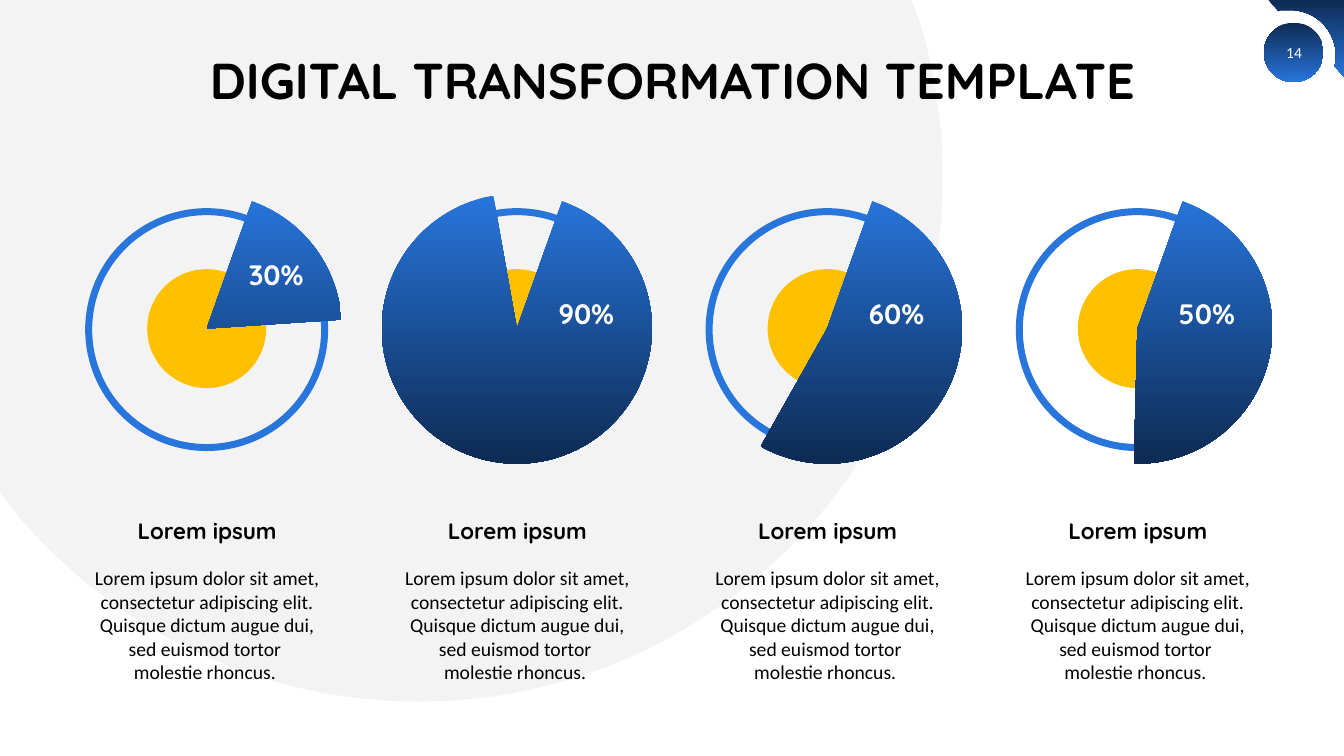
from dataclasses import dataclass

from lxml import etree
from pptx import Presentation
from pptx import util as u
from pptx.dml.color import RGBColor
from pptx.enum import shapes, text
from pptx.oxml.ns import qn

BLUE, NAVY, GOLD, GREY = "2875DC", "0D2B53", "FFC000", "BFBFBF"
BLACK, WHITE = "000000", "FFFFFF"
HEADING_FONT, BODY_FONT = "Quicksand", "Calibri"

SLIDE_WIDTH, SLIDE_HEIGHT = 13.33, 7.5
COLUMN_LEFT, COLUMN_WIDTH = 0.92, 2.27
COLUMN_PITCH = 9.23 / 3
DIAL_OFFSET, DIAL_Y = 1.13, 3.26
CORE_SIZE, RING_SIZE, PIE_SIZE = 1.18, 2.34, 2.68
PIE_START = 289.56
DEGREE = 0.6  # pie adjustment units per degree

# Outlines: a segment of one point is a line, one of three points a curve.
BACKDROP = [
    [(0, 0)],
    [(9.04, 0)],
    [(9.12, 0.21)],
    [(9.27, 0.7), (9.35, 1.22), (9.35, 1.76)],
    [(9.35, 4.63), (7.02, 6.96), (4.15, 6.96)],
    [(2.54, 6.96), (1.09, 6.22), (0.14, 5.07)],
    [(0, 4.88)],
]
CORNER = [
    [(13.33, 0.76)],
    [(13.33, 0)],
    [(12.58, 0)],
    [(12.68, 0.11)],
    [(12.7, 0.1)],
    [(12.73, 0.1), (12.76, 0.1), (12.79, 0.1)],
    [(13.05, 0.1), (13.25, 0.3), (13.25, 0.56)],
    [(13.25, 0.59), (13.25, 0.62), (13.24, 0.65)],
    [(13.24, 0.66)],
]

DESCRIPTION = [
    "Lorem ipsum dolor sit amet, consectetur adipiscing elit. "
    "Quisque dictum augue dui, sed euismod tortor ",
    "molestie rhoncus. ",
]


@dataclass
class Dial:
    percent: str
    pie_end: float
    label_top: float = 2.89
    label_height: float = 0.44
    heading: str = "Lorem ipsum"


@dataclass
class TextStyle:
    size: float
    font: str
    color: str = BLACK
    bold: bool = False
    line_spacing: float | None = None


TITLE = TextStyle(36, HEADING_FONT, bold=True, line_spacing=0.9)
PAGE_NUMBER = TextStyle(11, BODY_FONT, WHITE)
PERCENT = TextStyle(20, HEADING_FONT, WHITE, bold=True)
HEADING = TextStyle(16, HEADING_FONT, bold=True)
BODY = TextStyle(14, BODY_FONT)

DIALS = [
    Dial("30%", 356.18, label_top=2.51, label_height=0.53),
    Dial("90%", 259.93),
    Dial("60%", 119.38),
    Dial("50%", 91.44),
]


def rgb(color: str) -> RGBColor:
    return RGBColor.from_string(color)


def fill_solid(shape, color: str) -> None:
    shape.fill.solid()
    shape.fill.fore_color.rgb = rgb(color)


def fill_gradient(shape, top: str, bottom: str) -> None:
    shape.fill.gradient()
    shape.fill.gradient_angle = 270
    for stop, color in zip(shape.fill.gradient_stops, (top, bottom)):
        stop.color.rgb = rgb(color)


def add_round(canvas, kind, center_x: float, center_y: float, size: float):
    """Add an unlined round shape about its centre."""
    shape = canvas.add_shape(
        kind, u.Inches(center_x - size / 2), u.Inches(center_y - size / 2),
        u.Inches(size), u.Inches(size))
    shape.shadow.inherit = False
    shape.line.fill.background()
    return shape


def add_outline(canvas, segments: list):
    """Add a closed freeform, joining each three-point segment into a Bézier curve."""
    start, *points = [(u.Inches(x), u.Inches(y)) for segment in segments for x, y in segment]
    builder = canvas.build_freeform(*start, scale=1.0)
    builder.add_line_segments(points, close=True)
    shape = builder.convert_to_shape()
    steps = iter(list(shape.element.iter(qn("a:lnTo"))))
    for segment in segments[1:]:
        step = next(steps)
        if len(segment) == 3:
            curve = etree.Element(qn("a:cubicBezTo"))
            step.addprevious(curve)
            for part in (step, next(steps), next(steps)):
                curve.append(part[0])
                part.getparent().remove(part)
    shape.shadow.inherit = False
    shape.line.fill.background()
    return shape


def add_text(canvas, left: float, top: float, width: float, height: float,
             lines: list, style: TextStyle, middle: bool = True,
             inset: bool = True) -> None:
    box = canvas.add_textbox(
        u.Inches(left), u.Inches(top), u.Inches(width), u.Inches(height))
    frame = box.text_frame
    frame.word_wrap = True
    frame.vertical_anchor = text.MSO_ANCHOR.MIDDLE if middle else text.MSO_ANCHOR.TOP
    if not inset:
        frame.margin_left = frame.margin_right = 0
        frame.margin_top = frame.margin_bottom = 0
    frame.text = "\n".join(lines)
    for paragraph in frame.paragraphs:
        paragraph.alignment = text.PP_ALIGN.CENTER
        paragraph.line_spacing = style.line_spacing
        paragraph.font.size = u.Pt(style.size)
        paragraph.font.name = style.font
        paragraph.font.bold = style.bold
        paragraph.font.color.rgb = rgb(style.color)


def add_backdrop(canvas) -> None:
    backdrop = add_outline(canvas, BACKDROP)
    fill_solid(backdrop, GREY)
    color = backdrop.element.spPr.find(qn("a:solidFill"))[0]
    etree.SubElement(color, qn("a:alpha")).set("val", "18000")


def add_page_badge(canvas) -> None:
    group = canvas.add_group_shape().shapes
    corner = add_outline(group, CORNER)
    badge = add_round(group, shapes.MSO_SHAPE.OVAL, 12.83, 0.52, 0.59)
    for part in (corner, badge):
        fill_gradient(part, NAVY, BLUE)


def add_dial(canvas, dial: Dial, left: float) -> None:
    center_x = left + DIAL_OFFSET
    core = add_round(canvas, shapes.MSO_SHAPE.OVAL, center_x, DIAL_Y, CORE_SIZE)
    fill_solid(core, GOLD)

    group = canvas.add_group_shape().shapes
    ring = add_round(group, shapes.MSO_SHAPE.OVAL, center_x, DIAL_Y + 0.01, RING_SIZE)
    ring.fill.background()
    ring.line.color.rgb = rgb(BLUE)
    ring.line.width = u.Pt(5)

    pie = add_round(group, shapes.MSO_SHAPE.PIE, center_x, DIAL_Y, PIE_SIZE)
    pie.adjustments[0] = PIE_START * DEGREE
    pie.adjustments[1] = dial.pie_end * DEGREE
    fill_gradient(pie, BLUE, NAVY)
    add_text(group, left + 1.34, dial.label_top, 0.96, dial.label_height,
             [dial.percent], PERCENT, middle=False)

    add_text(canvas, left, 5.61, COLUMN_WIDTH, 1.18, DESCRIPTION, BODY, inset=False)
    add_text(canvas, left, 5.13, COLUMN_WIDTH, 0.27, [dial.heading], HEADING, inset=False)


def main() -> None:
    deck = Presentation()
    deck.slide_width = u.Inches(SLIDE_WIDTH)
    deck.slide_height = u.Inches(SLIDE_HEIGHT)
    canvas = deck.slides.add_slide(deck.slide_layouts[6]).shapes

    add_backdrop(canvas)
    add_page_badge(canvas)
    add_text(canvas, 0.92, 0.4, 11.5, 0.86, ["DIGITAL TRANSFORMATION TEMPLATE"], TITLE)
    add_text(canvas, 12.63, 0.32, 0.41, 0.4, ["14"], PAGE_NUMBER)
    for column, dial in enumerate(DIALS):
        add_dial(canvas, dial, COLUMN_LEFT + column * COLUMN_PITCH)

    deck.save("out.pptx")


if __name__ == "__main__":
    main()
